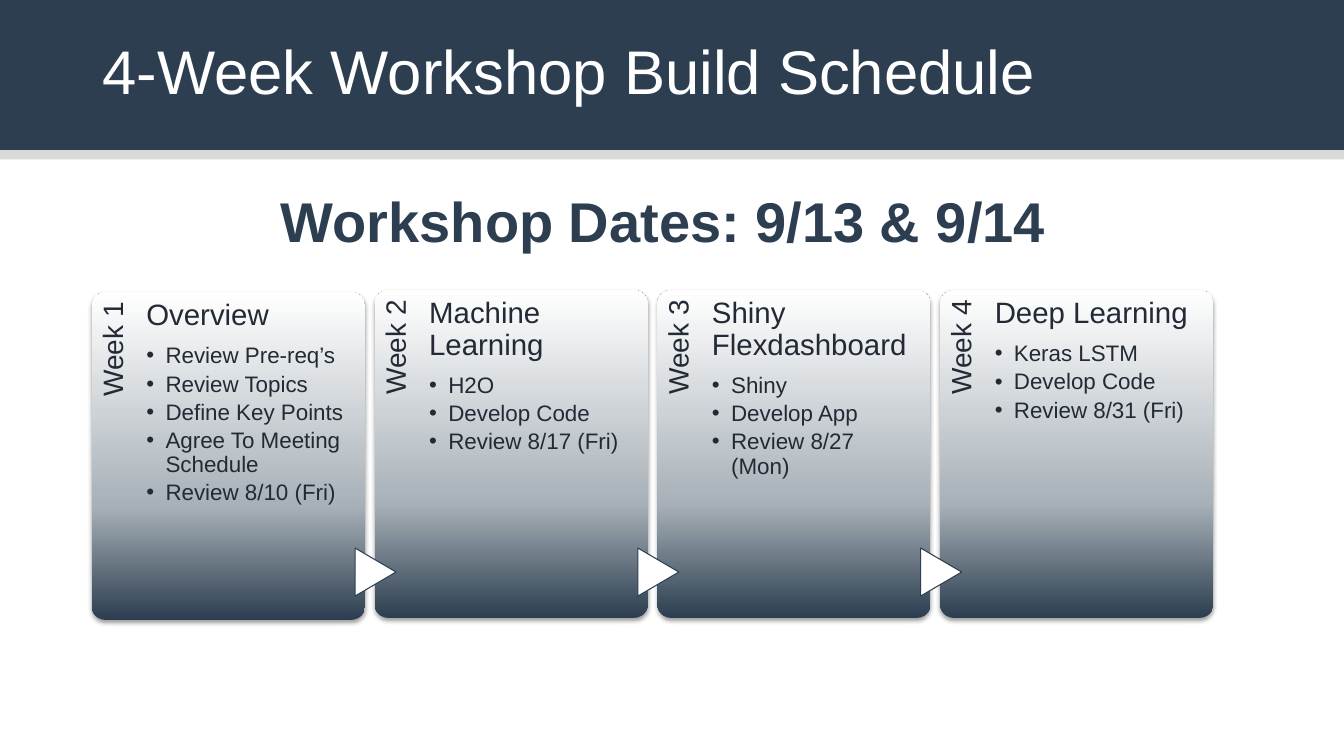
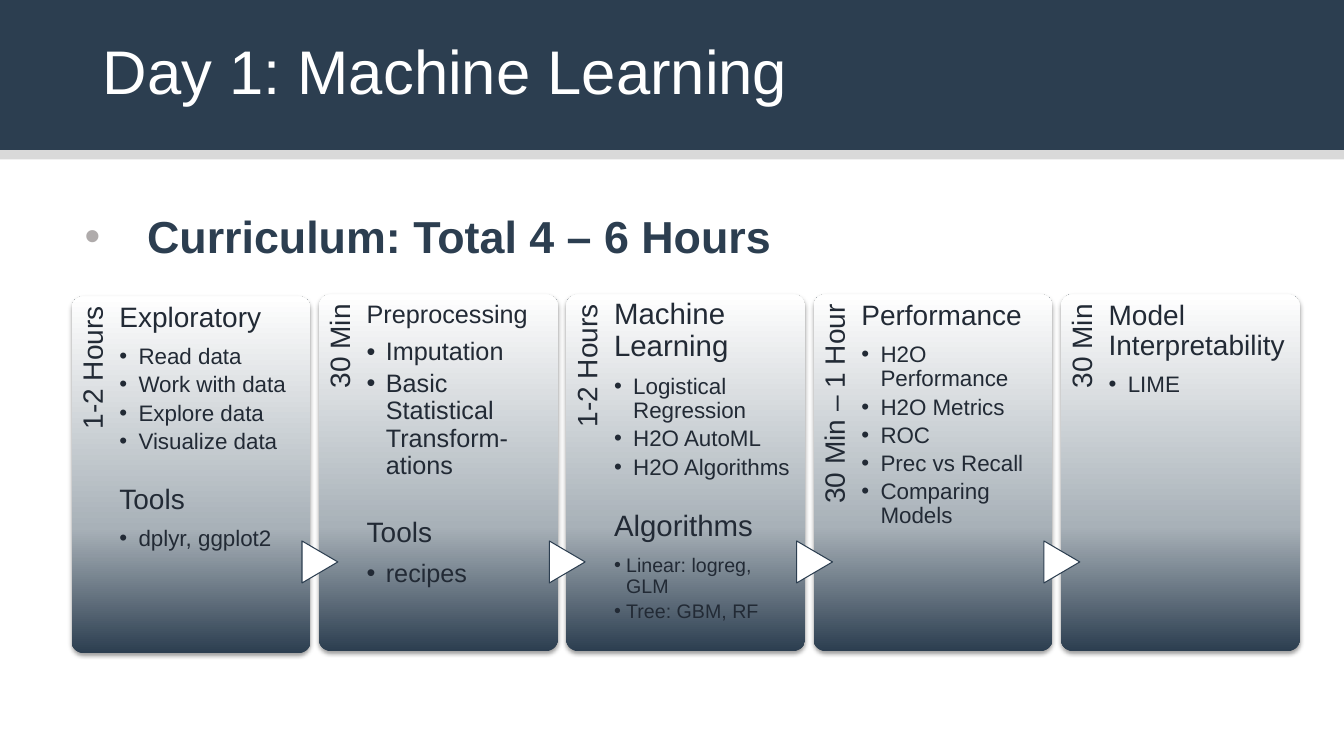
from dataclasses import dataclass

from lxml import etree
from pptx import Presentation
from pptx.dml.color import RGBColor
from pptx.enum import shapes, text
from pptx.oxml import ns
from pptx.util import Inches, Pt


@dataclass(frozen=True)
class Theme:
    font: str = "Arial"
    navy: str = "2C3E50"
    white: str = "FFFFFF"
    rule: str = "D9D9D9"
    ink: str = "222A35"
    bullet: str = "AFABAB"
    gradient: tuple = ((0, "2C3E50"), (35, "A8B1B8"), (100, "FFFFFF"))
    title_size: float = 44
    label_size: float = 20


@dataclass(frozen=True)
class Section:
    heading: str
    bullets: tuple[str, ...]
    size: float = 20
    bullet_size: float = 16
    indent: float = 0.19
    gap: float = 0  # points above the heading


@dataclass(frozen=True)
class Card:
    label: str
    sections: tuple[Section, ...]
    top_inset: float = 0.07


@dataclass(frozen=True)
class Row:
    left: float
    top: float
    width: float
    height: float
    arrow_at: float  # share of the card height
    cards: tuple[Card, ...]


@dataclass(frozen=True)
class Subtitle:
    content: str
    top: float
    size: float
    bulleted: bool = False


THEME = Theme()
SLIDE_W, SLIDE_H = 13.33, 7.5
BAND_H = 1.49
FIRST_CARD_DROP = 0.02
SHAPE = shapes.MSO_SHAPE
ALIGN = text.PP_ALIGN

WEEKS = Row(0.91, 2.88, 2.71, 3.25, 0.86, (
    Card("Week 1", (Section("Overview", (
        "Review Pre-req’s", "Review Topics", "Define Key Points",
        "Agree To Meeting Schedule", "Review 8/10 (Fri)"), 21),), 0.08),
    Card("Week 2", (Section("Machine Learning", (
        "H2O", "Develop Code", "Review 8/17 (Fri)"), 21),), 0.08),
    Card("Week 3", (Section("Shiny Flexdashboard", (
        "Shiny", "Develop App", "Review 8/27 (Mon)"), 21),), 0.08),
    Card("Week 4", (Section("Deep Learning", (
        "Keras LSTM", "Develop Code", "Review 8/31 (Fri)"), 21),), 0.08),
))

CURRICULUM = Row(0.71, 2.92, 2.37, 3.54, 0.75, (
    Card("1-2 Hours", (
        Section("Exploratory", ("Read data", "Work with data", "Explore data", "Visualize data")),
        Section("Tools", ("dplyr, ggplot2",), gap=19.5))),
    Card("30 Min", (
        Section("Preprocessing", ("Imputation", "Basic Statistical Transform-ations"), 18, 18),
        Section("Tools", ("recipes",), 20, 18, gap=24.3))),
    Card("1-2 Hours", (
        Section("Machine Learning", ("Logistical Regression", "H2O AutoML", "H2O Algorithms"), 21),
        Section("Algorithms", ("Linear: logreg, GLM", "Tree: GBM, RF"), 21, 14, 0.12, 19.5)), 0.05),
    Card("30 Min – 1 Hour", (Section("Performance", (
        "H2O Performance", "H2O Metrics", "ROC", "Prec vs Recall", "Comparing Models")),)),
    Card("30 Min", (Section("Model Interpretability", ("LIME",)),)),
))


def rgb(color: str) -> RGBColor:
    return RGBColor.from_string(color)


def add_node(parent, tag: str, **attrs):
    return etree.SubElement(parent, ns.qn(tag), {k: str(v) for k, v in attrs.items()})


def add_shape(slide, kind, left: float, top: float, width: float, height: float,
              fill: str = THEME.white):
    sp = slide.shapes.add_shape(kind, Inches(left), Inches(top), Inches(width), Inches(height))
    sp.shadow.inherit = False
    sp.fill.solid()
    sp.fill.fore_color.rgb = rgb(fill)
    sp.line.fill.background()
    return sp


def add_box(slide, left: float, top: float, width: float, height: float,
            insets: tuple[float, float, float, float] = (0.1, 0.1, 0.1, 0.1)):
    """Add a wrapping text box; insets run left, top, right, bottom."""
    sp = slide.shapes.add_textbox(Inches(left), Inches(top), Inches(width), Inches(height))
    tf = sp.text_frame
    tf.word_wrap = True
    tf.margin_left, tf.margin_top, tf.margin_right, tf.margin_bottom = map(Inches, insets)
    return sp


def set_text(p, content: str, size: float, color: str = THEME.ink, bold: bool = False,
             align=ALIGN.LEFT, before: float = 0, after: float = 0) -> None:
    p.text = content
    p.alignment = align
    p.line_spacing = 0.9
    p.space_before, p.space_after = Pt(before), Pt(after)
    for r in p.runs:
        r.font.name, r.font.size, r.font.bold = THEME.font, Pt(size), bold
        r.font.color.rgb = rgb(color)


def set_bullet(p, margin: float, hanging: float, color: str = THEME.ink) -> None:
    pPr = p._p.get_or_add_pPr()
    pPr.set("marL", str(Inches(margin)))
    pPr.set("indent", str(-Inches(hanging)))
    add_node(add_node(pPr, "a:buClr"), "a:srgbClr", val=color)
    add_node(pPr, "a:buFont", typeface=THEME.font)
    add_node(pPr, "a:buChar", char="•")


def style_panel(sp) -> None:
    """Give a card its upward gradient and soft shadow."""
    sp.adjustments[0] = 0.05
    sp.fill.gradient()
    sp.fill.gradient_angle = 90
    spPr = sp._element.spPr
    stops = spPr.find(".//" + ns.qn("a:gsLst"))
    for stop in list(stops):
        stops.remove(stop)
    for pos, color in THEME.gradient:
        add_node(add_node(stops, "a:gs", pos=pos * 1000), "a:srgbClr", val=color)
    shadow = add_node(spPr.find(ns.qn("a:effectLst")), "a:outerShdw", blurRad=Pt(3.1),
                      dist=Pt(1.6), dir=5400000, rotWithShape=0)
    add_node(add_node(shadow, "a:srgbClr", val="000000"), "a:alpha", val=38000)


def fill_card(tf, sections: tuple[Section, ...]) -> None:
    paragraphs = iter([tf.paragraphs[0]])
    for section in sections:
        p = next(paragraphs, None) or tf.add_paragraph()
        set_text(p, section.heading, section.size, before=section.gap, after=section.size * 0.42)
        for bullet in section.bullets:
            p = tf.add_paragraph()
            set_text(p, bullet, section.bullet_size, after=section.bullet_size * 0.18)
            set_bullet(p, section.indent, section.indent)


def add_arrow(slide, center_x: float, center_y: float, card_width: float) -> None:
    width, height = card_width * 0.176, card_width * 0.15
    sp = add_shape(slide, SHAPE.FLOWCHART_EXTRACT, center_x - width / 2,
                   center_y - height / 2, width, height)
    sp.rotation = 90
    sp.line.color.rgb = rgb(THEME.navy)
    sp.line.width = Pt(0.75)


def add_row(slide, row: Row) -> None:
    strip, length = row.width * 0.2, row.height * 0.82
    for i, card in enumerate(row.cards):
        left = row.left + i * row.width * 1.035
        top = row.top if i else row.top + FIRST_CARD_DROP
        style_panel(add_shape(slide, SHAPE.ROUNDED_RECTANGLE, left, top, row.width, row.height))

        label = add_box(slide, left + (strip - length) / 2, top + (length - strip) / 2,
                        length, strip, (0, 0.07, 0.1, 0))
        label.rotation = 270
        set_text(label.text_frame.paragraphs[0], card.label, THEME.label_size, align=ALIGN.RIGHT)

        if i:
            add_arrow(slide, left + 0.01, top + row.height * row.arrow_at, row.width)
        body = add_box(slide, left + strip, top, row.width * 0.745, row.height,
                       (0, card.top_inset, 0, 0))
        fill_card(body.text_frame, card.sections)


def add_slide(prs, title: str, subtitle: Subtitle, row: Row) -> None:
    slide = prs.slides.add_slide(prs.slide_layouts[6])
    add_shape(slide, SHAPE.RECTANGLE, 0, BAND_H, SLIDE_W, SLIDE_H - BAND_H)
    add_shape(slide, SHAPE.RECTANGLE, 0, BAND_H, SLIDE_W, 0.09, THEME.rule)

    tf = add_box(slide, 0.92, 0.16, 11.5, 1.16).text_frame
    tf.vertical_anchor = text.MSO_ANCHOR.MIDDLE
    set_text(tf.paragraphs[0], title, THEME.title_size, THEME.white)

    add_row(slide, row)

    p = add_box(slide, 0.54, subtitle.top, 11.88, 0.8).text_frame.paragraphs[0]
    set_text(p, subtitle.content, subtitle.size, THEME.navy, True,
             ALIGN.LEFT if subtitle.bulleted else ALIGN.CENTER, before=10)
    if subtitle.bulleted:
        set_bullet(p, 0.82, 0.62, THEME.bullet)
    else:
        p._p.get_or_add_pPr().set("marL", str(Inches(0.19)))


def main() -> None:
    prs = Presentation()
    prs.slide_width, prs.slide_height = Inches(SLIDE_W), Inches(SLIDE_H)
    background = prs.slide_master.background.fill
    background.solid()
    background.fore_color.rgb = rgb(THEME.navy)

    add_slide(prs, "4-Week Workshop Build Schedule",
              Subtitle("Workshop Dates: 9/13 & 9/14", 1.83, 40), WEEKS)
    add_slide(prs, "Day 1: Machine Learning",
              Subtitle("Curriculum: Total 4 – 6 Hours", 2.03, 32, True), CURRICULUM)
    prs.save("out.pptx")


if __name__ == "__main__":
    main()
